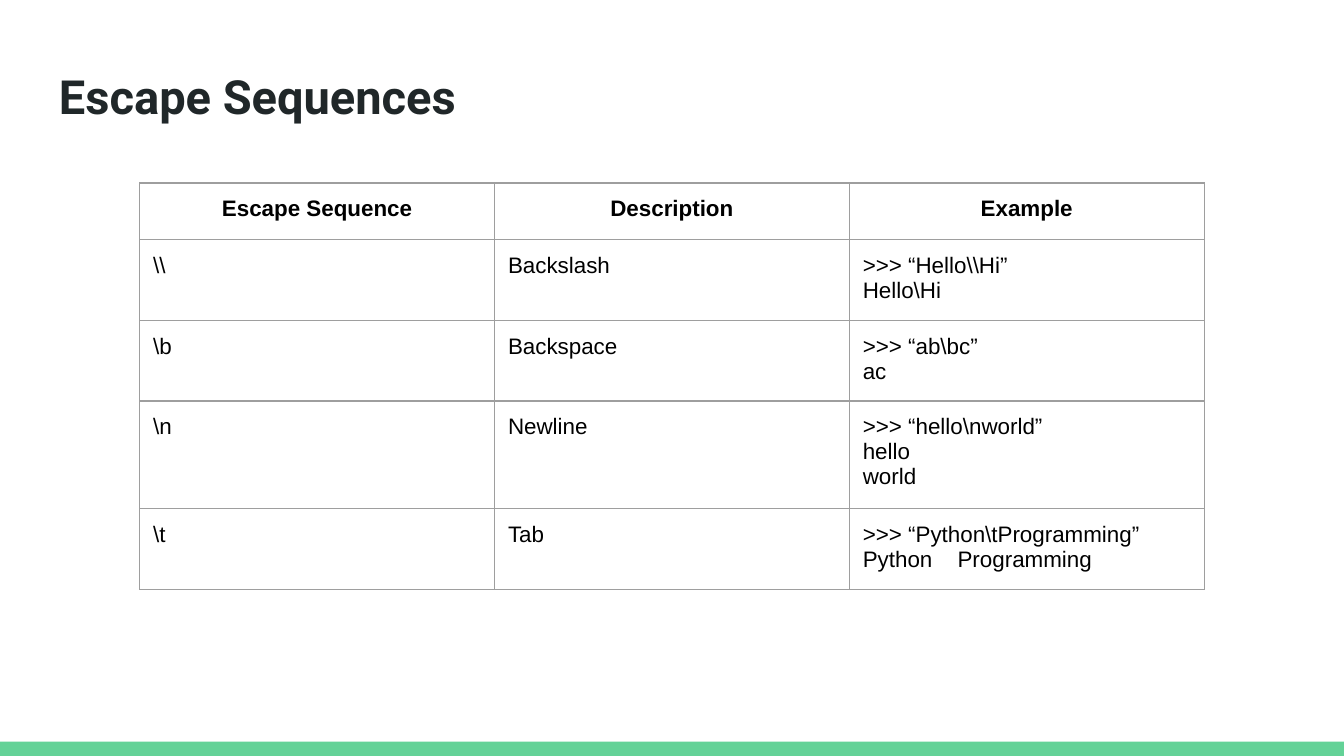
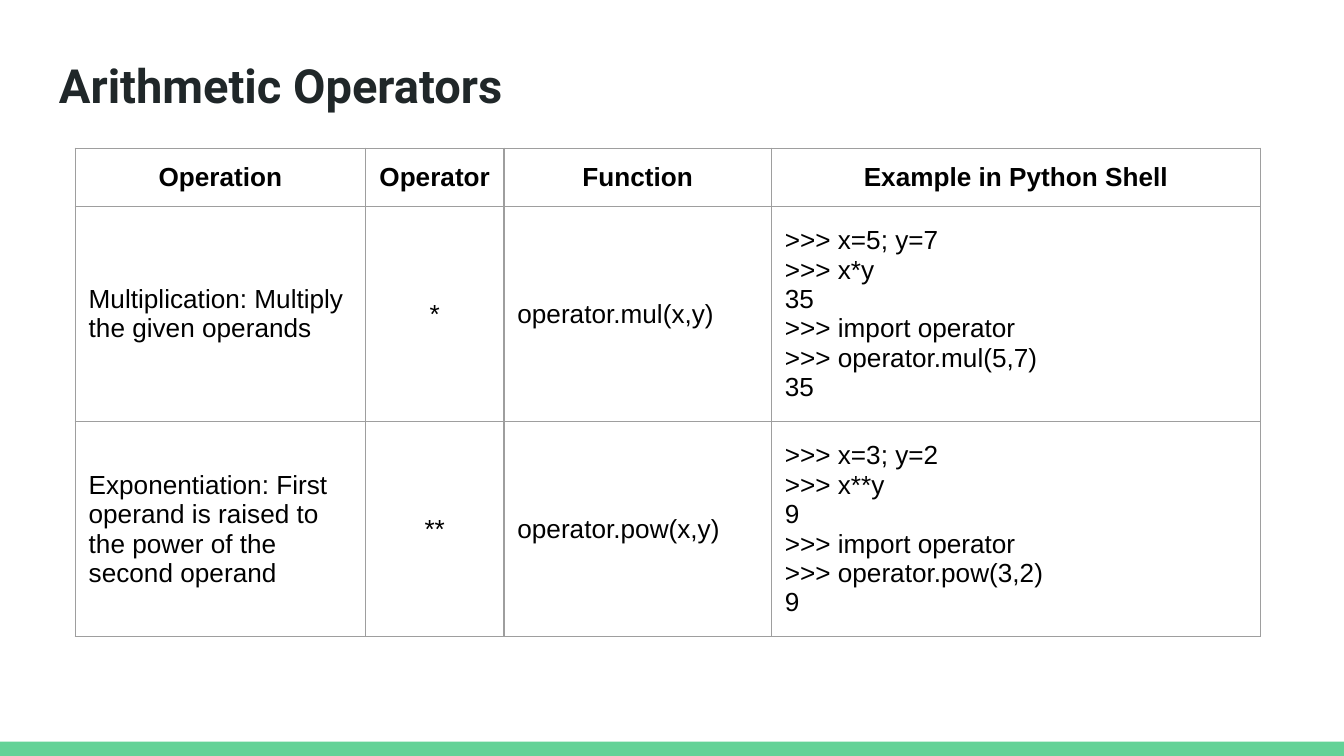
from lxml.etree import SubElement
from pptx import Presentation
from pptx.dml.color import RGBColor
from pptx.enum.shapes import MSO_SHAPE
from pptx.enum.text import MSO_ANCHOR, PP_ALIGN
from pptx.oxml.ns import qn
from pptx.util import Inches, Pt

W, H = Inches(10), Inches(5.625)
INSET = Inches(0.1)
GREEN = RGBColor(0x63, 0xD2, 0x97)
INK = RGBColor(0x20, 0x27, 0x29)
BLACK = RGBColor(0, 0, 0)
GREY = RGBColor(0x9E, 0x9E, 0x9E)
WHITE = RGBColor(0xFF, 0xFF, 0xFF)
ROW = 7.5

ESCAPES = [
    ["Escape Sequence", "Description", "Example"],
    [r"\\", "Backslash", [r">>> “Hello\\Hi”", r"Hello\Hi"]],
    [r"\b", "Backspace", [r">>> “ab\bc”", "ac"]],
    [r"\n", "Newline", [r">>> “hello\nworld”", "hello", "world"]],
    [r"\t", "Tab", [r">>> “Python\tProgramming”", "Python\tProgramming"]],
]


def across(percent):
    """Turn a percentage of the slide width into a length."""
    return round(W * percent / 100)


def down(percent):
    """Turn a percentage of the slide height into a length."""
    return round(H * percent / 100)


def shell_lines(x, y, expression, function, result):
    """List a shell session that computes a result in two ways."""
    return [f">>> x={x}; y={y}", f">>> {expression}", result,
            ">>> import operator", f">>> operator.{function}({x},{y})", result]


OPERATORS = [
    ["Operation", "Operator", "Function", "Example in Python Shell"],
    ["Multiplication: Multiply the given operands", "*", "operator.mul(x,y)",
     shell_lines(5, 7, "x*y", "mul", "35")],
    ["Exponentiation: First operand is raised to the power of the second operand",
     "**", "operator.pow(x,y)", shell_lines(3, 2, "x**y", "pow", "9")],
]


def add_run(p, text, font, size, color, bold):
    """Add one formatted run to a paragraph."""
    r = p.add_run()
    r.text = text
    r.font.name, r.font.size, r.font.bold = font, Pt(size), bold
    r.font.color.rgb = color


def add_tab_stop(p, position):
    """Give a paragraph one left tab stop."""
    tabs = SubElement(p._p.get_or_add_pPr(), qn("a:tabLst"))
    SubElement(tabs, qn("a:tab"), pos=str(position), algn="l")


def add_borders(cell):
    """Draw a thin grey line on each side of a cell."""
    tcPr = cell._tc.get_or_add_tcPr()
    for side in ("L", "R", "T", "B"):
        ln = SubElement(tcPr, qn(f"a:ln{side}"), w=str(Pt(0.75)))
        fill = SubElement(ln, qn("a:solidFill"))
        SubElement(fill, qn("a:srgbClr"), val=str(GREY))


def fill_cell(cell, content, size, bold, centered, anchor):
    """Write a string or a list of lines into a bordered cell."""
    add_borders(cell)
    cell.fill.background()
    cell.margin_left = cell.margin_right = INSET
    cell.margin_top = cell.margin_bottom = INSET
    cell.vertical_anchor = anchor
    tf = cell.text_frame
    lines = [content] if isinstance(content, str) else content
    for i, line in enumerate(lines):
        p = tf.add_paragraph() if i else tf.paragraphs[0]
        p.alignment = PP_ALIGN.CENTER if centered else PP_ALIGN.LEFT
        if "\t" in line:
            add_tab_stop(p, across(7.05))
        add_run(p, line, "Arial", size, BLACK, bold)


def add_grid(s, rows, left, top, widths, size, anchor, centered_columns=()):
    """Add a table whose header row is bold and centred."""
    frame = s.shapes.add_table(len(rows), len(widths), across(left), down(top),
                               across(sum(widths)), down(ROW * len(rows)))
    table = frame.table
    table.first_row = table.horz_banding = False
    for column, width in zip(table.columns, widths):
        column.width = across(width)
    for i, row in enumerate(rows):
        table.rows[i].height = down(ROW)
        for j, content in enumerate(row):
            header = i == 0
            fill_cell(table.cell(i, j), content, size, header,
                      header or j in centered_columns, anchor)


def add_title(s, text, top):
    """Add the slide title."""
    sp = s.shapes.add_textbox(across(3.4), down(top), across(93.2), down(11.2))
    tf = sp.text_frame
    tf.word_wrap = True
    tf.margin_left = tf.margin_right = tf.margin_top = tf.margin_bottom = INSET
    add_run(tf.paragraphs[0], text, "Roboto", 25.2, INK, True)


def add_slide(prs, title, title_top):
    """Add a white slide with the bottom band and a title."""
    s = prs.slides.add_slide(prs.slide_layouts[6])
    s.background.fill.solid()
    s.background.fill.fore_color.rgb = WHITE
    band = s.shapes.add_shape(MSO_SHAPE.RECTANGLE, 0, down(98.1), W, down(1.9))
    band.shadow.inherit = False
    band.fill.solid()
    band.fill.fore_color.rgb = GREEN
    band.line.fill.background()
    add_title(s, title, title_top)
    return s


def main():
    """Build and save the two slides."""
    prs = Presentation()
    prs.slide_width, prs.slide_height = W, H
    s = add_slide(prs, "Escape Sequences", 7.1)
    add_grid(s, ESCAPES, 10.4, 24.2, [26.4] * 3, 12, MSO_ANCHOR.TOP)
    s = add_slide(prs, "Arithmetic Operators", 5.7)
    add_grid(s, OPERATORS, 5.6, 19.6, [21.6, 10.3, 19.9, 36.4], 14,
             MSO_ANCHOR.MIDDLE, centered_columns=(1,))
    prs.save("out.pptx")


if __name__ == "__main__":
    main()
